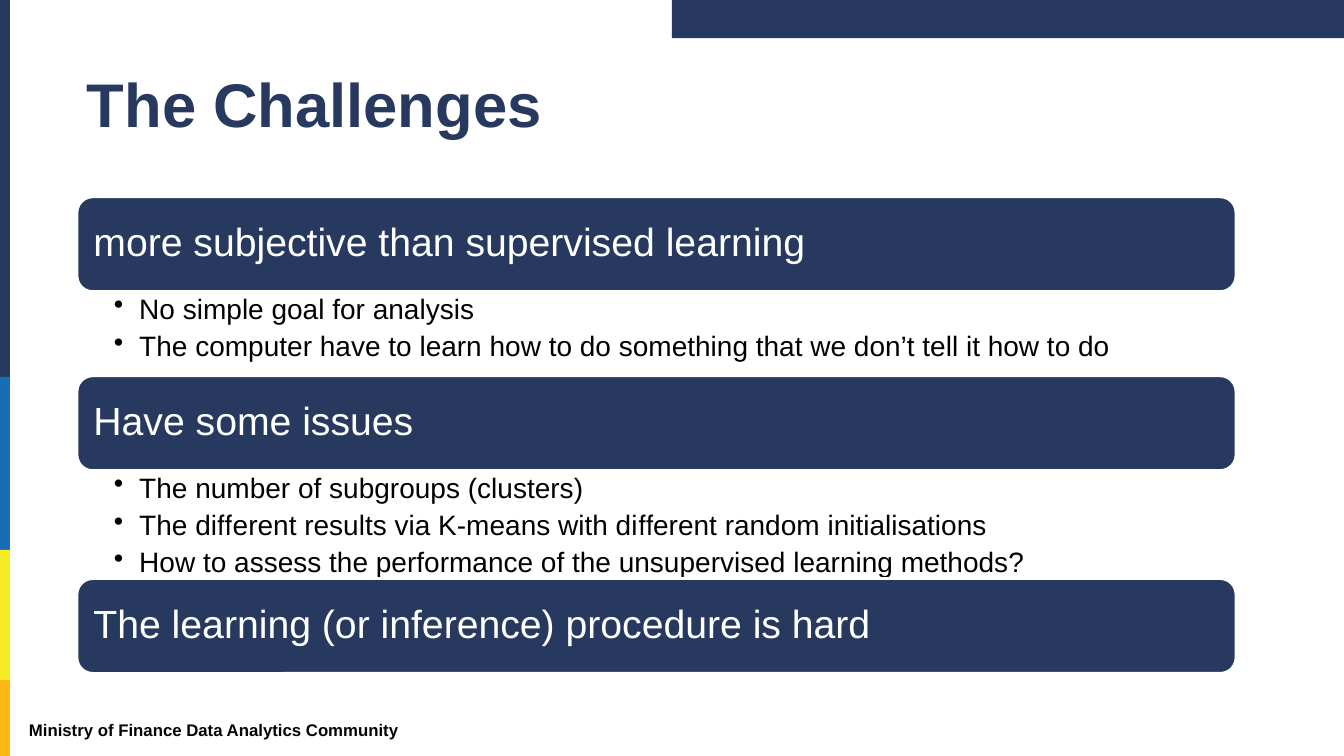
import pptx
import pptx.util
import pptx.dml.color
import pptx.enum.shapes
import pptx.enum.text
import pptx.oxml.ns
import lxml.etree
from dataclasses import dataclass

Cm, Pt = pptx.util.Cm, pptx.util.Pt
RGB = pptx.dml.color.RGBColor.from_string
SHAPE = pptx.enum.shapes.MSO_SHAPE
ANCHOR = pptx.enum.text.MSO_ANCHOR
LEFT = pptx.enum.text.PP_ALIGN.LEFT

# Content
TITLE = "The Challenges"
FOOTER = "Ministry of Finance Data Analytics Community"
SECTIONS = [
    ("more subjective than supervised learning", [
        "No simple goal for analysis",
        "The computer have to learn how to do something that we don’t tell it how to do",
    ]),
    ("Have some issues", [
        "The number of subgroups (clusters)",
        "The diﬀerent results via K-means with diﬀerent random initialisations",
        "How to assess the performance of the unsupervised learning methods?",
    ]),
    ("The learning (or inference) procedure is hard", []),
]


@dataclass
class Theme:
    font: str = "Arial"
    navy: str = "27395F"
    blue: str = "176EB4"
    yellow: str = "F7EB25"
    amber: str = "FCB813"
    white: str = "FFFFFF"
    black: str = "000000"
    footer: str = "040404"
    title_size: int = 44
    bar_size: int = 28
    bullet_size: int = 20
    footer_size: int = 12


T = Theme()

# Layout in centimetres
WIDTH, HEIGHT = 33.87, 19.05
LEFT_EDGE, BODY_WIDTH = 1.94, 29.21
BARS_TOP, BAR_HEIGHT = 4.96, 2.39
BULLETS_HEIGHT = {2: 2.12, 3: 2.72}
STRIPE_WIDTH = 0.25
STRIPES = [(T.navy, 9.5), (T.blue, 4.36), (T.yellow, 3.28), (T.amber, 1.91)]


def set_all(obj, values):
    for name, value in values.items():
        setattr(obj, name, value)


def add_block(kind, box, fill, line=None):
    s = sp.add_shape(kind, *map(Cm, box))
    s.shadow.inherit = False
    s.fill.solid()
    s.fill.fore_color.rgb = RGB(fill)
    if line:
        s.line.color.rgb = RGB(line)
        s.line.width = Pt(2)
    else:
        s.line.fill.background()
    return s


def add_bullet(p):
    pPr = p._p.get_or_add_pPr()
    set_all_xml = {"marL": Cm(0.64), "indent": Cm(-0.64)}
    for name, value in set_all_xml.items():
        pPr.set(name, str(int(value)))
    bu = lxml.etree.SubElement(pPr, pptx.oxml.ns.qn("a:buChar"))
    bu.set("char", "•")


def write(s, lines, size, color, insets, bold=False, anchor=ANCHOR.MIDDLE,
          spacing=0.9, after=0, bullets=False):
    tf = s.text_frame
    left, top, right, bottom = map(Cm, insets)
    set_all(tf, dict(word_wrap=True, auto_size=pptx.enum.text.MSO_AUTO_SIZE.NONE,
                     vertical_anchor=anchor, margin_left=left, margin_top=top,
                     margin_right=right, margin_bottom=bottom))
    for i, line in enumerate(lines):
        p = tf.paragraphs[0] if i == 0 else tf.add_paragraph()
        if bullets:
            add_bullet(p)
        set_all(p, dict(alignment=LEFT, line_spacing=spacing,
                        space_before=Pt(0), space_after=Pt(after)))
        r = p.add_run()
        r.text = line
        set_all(r.font, dict(name=T.font, size=Pt(size), bold=bold))
        r.font.color.rgb = RGB(color)


prs = pptx.Presentation()
set_all(prs, dict(slide_width=Cm(WIDTH), slide_height=Cm(HEIGHT)))
slide = prs.slides.add_slide(prs.slide_layouts.get_by_name("Title Only"))
sp = slide.shapes

# Left stripes and top band
top = 0
for color, height in STRIPES:
    add_block(SHAPE.RECTANGLE, (0, top, STRIPE_WIDTH, height), color)
    top += height
add_block(SHAPE.RECTANGLE, (WIDTH / 2, 0, WIDTH / 2, 0.96), T.navy)

# Footer and title
PLAIN = (0.25, 0.13, 0.25, 0.13)
footer = sp.add_textbox(*map(Cm, (0.48, 18.1, 11.5, 0.58)))
write(footer, [FOOTER], T.footer_size, T.footer, PLAIN, bold=True, spacing=1.0)
title = sp.title
set_all(title, dict(left=Cm(LEFT_EDGE), top=Cm(0.86), width=Cm(BODY_WIDTH), height=Cm(3.68)))
write(title, [TITLE], T.title_size, T.navy, PLAIN, bold=True)

# Heading bars, each followed by its bullets
top = BARS_TOP
for heading, points in SECTIONS:
    bar = add_block(SHAPE.ROUNDED_RECTANGLE, (LEFT_EDGE, top, BODY_WIDTH, BAR_HEIGHT),
                    T.navy, T.white)
    write(bar, [heading], T.bar_size, T.white, (0.3, 0.3, 0.3, 0.3))
    top += BAR_HEIGHT
    if points:
        height = BULLETS_HEIGHT[len(points)]
        box = sp.add_textbox(*map(Cm, (LEFT_EDGE, top, BODY_WIDTH, height)))
        write(box, points, T.bullet_size, T.black, (0.93, 0.08, 0.41, 0.08),
              anchor=ANCHOR.TOP, after=5, bullets=True)
        top += height

prs.save("out.pptx")
